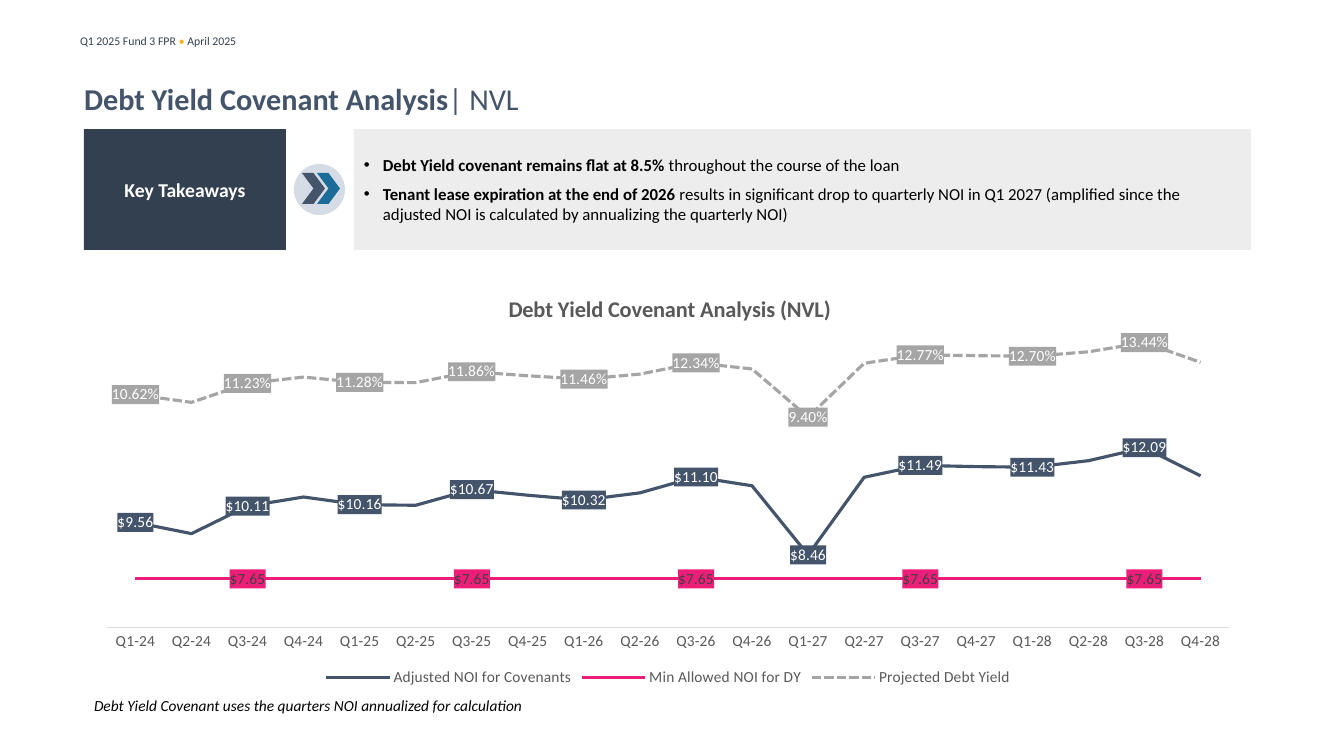
from copy import deepcopy
from dataclasses import dataclass

from lxml import etree
from pptx import Presentation
from pptx import util as u
from pptx.chart.axis import ValueAxis
from pptx.chart.data import CategoryChartData
from pptx.dml.color import RGBColor
from pptx.enum import chart as charts, dml, shapes, text
from pptx.oxml import parse_xml
from pptx.oxml.ns import nsdecls, qn


@dataclass(frozen=True)
class Theme:
    font: str = "Calibri"
    navy: str = "33404F"
    slate: str = "44546A"
    teal: str = "1C6C99"
    pale: str = "D6DCE5"
    panel: str = "EDEDED"
    orange: str = "FFAB21"
    pink: str = "ED1E79"
    gray: str = "A5A5A5"
    rule: str = "D9D9D9"
    muted: str = "595959"
    dark: str = "404040"
    black: str = "000000"
    white: str = "FFFFFF"
    header: float = 8.4
    title: float = 21.6
    badge: int = 14
    body: int = 12
    small: int = 11
    chart_title: int = 16


T = Theme()
LENDER = "NVL"
DOLLARS = '"$"#,##0.00'
PERCENT = "0.00%"
QUARTERS = [f"Q{q}-{year}" for year in range(24, 29) for q in range(1, 5)]
ADJUSTED_NOI = [9.56, 9.18, 10.11, 10.42, 10.16, 10.14, 10.67, 10.48, 10.32, 10.56,
                11.1, 10.8, 8.46, 11.09, 11.49, 11.45, 11.43, 11.65, 12.09, 11.14]
DEBT_YIELD = [0.1062, 0.102, 0.1123, 0.1157, 0.1128, 0.1127, 0.1186, 0.1164, 0.1146, 0.1173,
              0.1234, 0.1201, 0.094, 0.1232, 0.1277, 0.1273, 0.127, 0.1294, 0.1344, 0.1237]
EVEN = range(0, 20, 2)
EVERY_THIRD_QUARTER = range(2, 20, 4)
SERIES = [
    ("Adjusted NOI for Covenants", ADJUSTED_NOI, DOLLARS, T.slate, T.white, EVEN),
    ("Min Allowed NOI for DY", [7.65] * 20, DOLLARS, T.pink, T.dark, EVERY_THIRD_QUARTER),
    ("Projected Debt Yield", DEBT_YIELD, PERCENT, T.gray, T.white, EVEN),
]


def px(n):
    return round(n * 914400 / 100.8)


def set_font(font, size, color, bold=False, italic=False):
    font.name, font.size, font.bold, font.italic = T.font, u.Pt(size), bold, italic
    font.color.rgb = RGBColor.from_string(color)


def add_run(paragraph, words, size, color, bold=False, italic=False):
    run = paragraph.add_run()
    run.text = words
    set_font(run.font, size, color, bold, italic)


def add_line(slide, box, inset=(10, 5)):
    frame = slide.shapes.add_textbox(*map(px, box)).text_frame
    frame.word_wrap = True
    frame.margin_left = frame.margin_right = px(inset[0])
    frame.margin_top = frame.margin_bottom = px(inset[1])
    return frame


def add_block(slide, preset, box, color):
    block = slide.shapes.add_shape(preset, *map(px, box))
    block.shadow.inherit = False
    block.fill.solid()
    block.fill.fore_color.rgb = RGBColor.from_string(color)
    block.line.fill.background()
    return block


def add_header(slide, box):
    line = add_line(slide, box).paragraphs[0]
    add_run(line, "Q1 2025 Fund 3 FPR ", T.header, T.navy)
    add_run(line, "• ", T.header, T.orange)
    add_run(line, "April 2025", T.header, T.navy)


def add_title(slide, box):
    frame = add_line(slide, box, (0, 0))
    frame.vertical_anchor = text.MSO_ANCHOR.MIDDLE
    add_run(frame.paragraphs[0], "Debt Yield Covenant Analysis", T.title, T.slate, True)
    add_run(frame.paragraphs[0], f"| {LENDER}", T.title, T.slate)


def add_takeaways(slide, box):
    x, y, w, h = box
    preset = shapes.MSO_SHAPE
    badge = add_block(slide, preset.RECTANGLE, (x, y, 202, h), T.navy).text_frame
    badge.vertical_anchor = text.MSO_ANCHOR.MIDDLE
    badge.paragraphs[0].alignment = text.PP_ALIGN.CENTER
    add_run(badge.paragraphs[0], "Key Takeaways", T.badge, T.white, True)

    add_block(slide, preset.OVAL, (x + 210, y + 35, 51, 51), T.pale)
    for i, color in enumerate((T.slate, T.teal)):
        add_block(slide, preset.CHEVRON, (x + 218 + 15 * i, y + 44, 23, 31), color)

    points = add_block(slide, preset.RECTANGLE, (x + 270, y, w - 270, h), T.panel).text_frame
    points.word_wrap = True
    points.vertical_anchor = text.MSO_ANCHOR.MIDDLE
    takeaways = [
        ("Debt Yield covenant remains flat at 8.5% ", "throughout the course of the loan"),
        ("Tenant lease expiration at the end of 2026 ",
         "results in significant drop to quarterly NOI in Q1 2027 (amplified since the "
         "adjusted NOI is calculated by annualizing the quarterly NOI)"),
    ]
    for i, (lead, rest) in enumerate(takeaways):
        point = points.add_paragraph() if i else points.paragraphs[0]
        point.alignment = text.PP_ALIGN.LEFT
        point.space_before = u.Pt(6 if i else 0)
        props = point._p.get_or_add_pPr()
        props.set("marL", str(px(19)))
        props.set("indent", str(px(-19)))
        etree.SubElement(props, qn("a:buFont")).set("typeface", "Arial")
        etree.SubElement(props, qn("a:buChar")).set("char", "•")
        add_run(point, lead, T.body, T.black, True)
        add_run(point, rest, T.body, T.black)


def set_layout(parent, index, **fractions):
    for old in parent.findall(qn("c:layout")):
        parent.remove(old)
    layout = etree.Element(qn("c:layout"))
    manual = etree.SubElement(layout, qn("c:manualLayout"))
    if "w" in fractions:
        etree.SubElement(manual, qn("c:layoutTarget")).set("val", "inner")
    for side in "xy":
        etree.SubElement(manual, qn(f"c:{side}Mode")).set("val", "edge")
    for side, value in fractions.items():
        etree.SubElement(manual, qn(f"c:{side}")).set("val", str(value))
    parent.insert(index, layout)


def style_series(series, number_format, color, label_color, labelled):
    series.smooth = False
    series.format.line.width = u.Pt(2.25)
    series.format.line.color.rgb = RGBColor.from_string(color)
    labels = series.data_labels
    labels.show_value = True
    labels.number_format, labels.number_format_is_linked = number_format, False
    labels.position = charts.XL_LABEL_POSITION.CENTER
    set_font(labels.font, T.small, label_color)
    labels._element.find(qn("c:numFmt")).addnext(parse_xml(
        f'<c:spPr {nsdecls("c", "a")}><a:solidFill><a:srgbClr val="{color}"/>'
        '</a:solidFill></c:spPr>'))
    hidden = [i for i in range(len(QUARTERS)) if i not in labelled]
    for position, i in enumerate(hidden):
        labels._element.insert(position, parse_xml(
            f'<c:dLbl {nsdecls("c")}><c:idx val="{i}"/><c:delete val="1"/></c:dLbl>'))


def move_yield_to_right_axis(plot_area):
    noi_plot = plot_area.find(qn("c:lineChart"))
    yield_plot = deepcopy(noi_plot)
    noi_plot.remove(noi_plot.findall(qn("c:ser"))[2])
    for noi in yield_plot.findall(qn("c:ser"))[:2]:
        yield_plot.remove(noi)
    noi_plot.addnext(yield_plot)
    quarter_axis = deepcopy(plot_area.find(qn("c:catAx")))
    yield_axis = deepcopy(plot_area.find(qn("c:valAx")))
    plot_area.find(qn("c:valAx")).addnext(yield_axis)
    yield_axis.addnext(quarter_axis)
    ids = {quarter_axis.find(qn("c:axId")).get("val"): "5001",
           yield_axis.find(qn("c:axId")).get("val"): "5002"}
    for part in (yield_plot, quarter_axis, yield_axis):
        for ref in part.findall(qn("c:axId")) + part.findall(qn("c:crossAx")):
            ref.set("val", ids[ref.get("val")])
    quarter_axis.find(qn("c:delete")).set("val", "1")
    yield_axis.find(qn("c:axPos")).set("val", "r")
    yield_axis.find(qn("c:crosses")).set("val", "max")
    right = ValueAxis(yield_axis)
    right.minimum_scale, right.maximum_scale = -0.02, 0.14


def add_covenant_chart(slide, box):
    data = CategoryChartData()
    data.categories = QUARTERS
    for name, values, number_format, *_ in SERIES:
        data.add_series(name, values, number_format)
    chart = slide.shapes.add_chart(charts.XL_CHART_TYPE.LINE, *map(px, box), data).chart
    set_font(chart.font, 10, T.black)

    heading = chart.chart_title
    add_run(heading.text_frame.paragraphs[0], f"Debt Yield Covenant Analysis ({LENDER})",
            T.chart_title, T.muted, True)
    heading.include_in_layout = False
    set_layout(heading._element, 1, x=0.36, y=0.05)

    chart.has_legend = True
    chart.legend.position = charts.XL_LEGEND_POSITION.BOTTOM
    chart.legend.include_in_layout = False
    set_font(chart.legend.font, T.small, T.muted)

    quarters, noi = chart.category_axis, chart.value_axis
    for axis in (quarters, noi):
        axis.has_major_gridlines = False
        axis.major_tick_mark = axis.minor_tick_mark = charts.XL_TICK_MARK.NONE
    set_font(quarters.tick_labels.font, T.small, T.muted)
    quarters.format.line.color.rgb = RGBColor.from_string(T.rule)
    quarters.format.line.width = u.Pt(0.75)
    noi.tick_label_position = charts.XL_TICK_LABEL_POSITION.NONE
    noi.format.line.fill.background()
    noi.minimum_scale, noi.maximum_scale = 6, 16

    for series, (_, _, *style) in zip(chart.plots[0].series, SERIES):
        style_series(series, *style)
    series.format.line.dash_style = dml.MSO_LINE.SQUARE_DOT

    plot_area = chart._chartSpace.chart.plotArea
    set_layout(plot_area, 0, x=0.02, y=0.15, w=0.96, h=0.7)
    move_yield_to_right_axis(plot_area)


def add_footnote(slide, box):
    add_run(add_line(slide, box).paragraphs[0],
            "Debt Yield Covenant uses the quarters NOI annualized for calculation",
            T.small, T.black, italic=True)


def main():
    deck = Presentation()
    deck.slide_width, deck.slide_height = px(1344), px(756)
    slide = deck.slides.add_slide(deck.slide_layouts[6])
    add_header(slide, (70, 29, 455, 24))
    add_title(slide, (84, 60, 1111, 76))
    add_takeaways(slide, (84, 129, 1167, 121))
    add_footnote(slide, (84, 691, 1176, 29))
    add_covenant_chart(slide, (84, 269, 1168, 422))
    deck.save("out.pptx")


if __name__ == "__main__":
    main()
